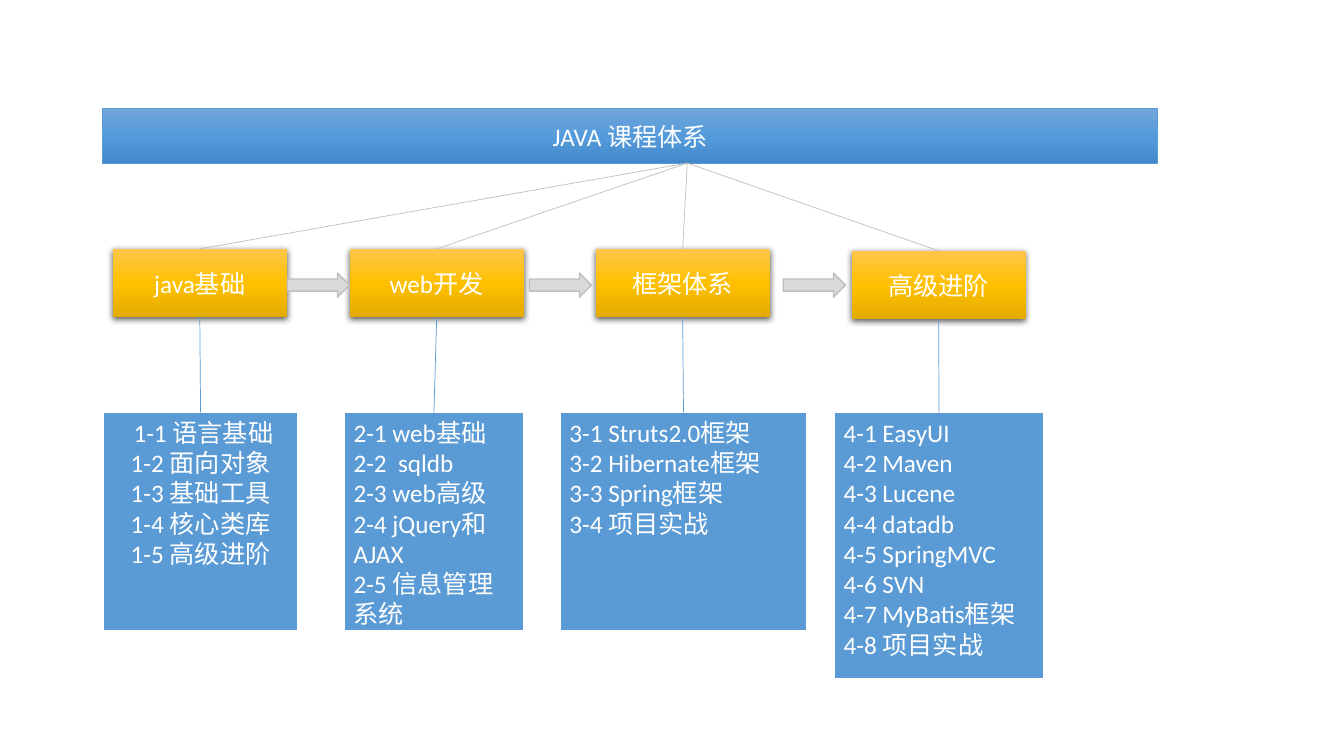
from dataclasses import dataclass

from pptx import Presentation
from pptx.dml.color import RGBColor
from pptx.enum.shapes import MSO_CONNECTOR, MSO_SHAPE
from pptx.enum.text import MSO_ANCHOR, MSO_AUTO_SIZE, PP_ALIGN
from pptx.oxml import parse_xml
from pptx.oxml.ns import nsdecls, qn
from pptx.oxml.xmlchemy import OxmlElement
from pptx.shapes.autoshape import Shape
from pptx.slide import Slide
from pptx.util import Cm, Pt

WHITE = RGBColor(0xFF, 0xFF, 0xFF)
BLUE = RGBColor(0x5B, 0x9B, 0xD5)
SILVER = RGBColor(0xBF, 0xBF, 0xBF)
LIGHT_GRAY = RGBColor(0xD9, 0xD9, 0xD9)
BLUE_SHADES = (RGBColor(0x71, 0xA6, 0xDB), RGBColor(0x55, 0x9B, 0xDB), RGBColor(0x44, 0x8A, 0xCA))
GOLD_SHADES = (RGBColor(0xFF, 0xC6, 0x4B), RGBColor(0xFF, 0xC0, 0x00), RGBColor(0xE3, 0xAB, 0x00))

STAGE_W, STAGE_H = 4.39, 1.73
LIST_TOP = 10.39
ARROW_TOP, ARROW_W, ARROW_H = 6.88, 1.57, 0.61
ARROW_LEFTS = (7.24, 13.34, 19.74)
HUB_X, HUB_Y = 17.32, 4.11


@dataclass
class Stage:
    name: str
    left: float
    top: float
    list_left: float
    list_width: float
    list_height: float
    lessons: list[str]
    align: PP_ALIGN = PP_ALIGN.LEFT


STAGES = [
    Stage("java基础", 2.84, 6.27, 2.59, 4.93, 5.51,
          [" 1-1 语言基础", "1-2 面向对象", "1-3 基础工具", "1-4 核心类库", "1-5 高级进阶"],
          PP_ALIGN.CENTER),
    Stage("web开发", 8.81, 6.27, 8.66, 4.55, 5.51,
          ["2-1 web基础", "2-2  sqldb", "2-3 web高级", "2-4 jQuery和AJAX", "2-5 信息管理系统"]),
    Stage("框架体系", 15.01, 6.27, 14.1, 6.25, 5.51,
          ["3-1 Struts2.0框架", "3-2 Hibernate框架", "3-3 Spring框架", "3-4 项目实战"]),
    Stage("高级进阶", 21.46, 6.32, 21.01, 5.31, 6.73,
          ["4-1 EasyUI", "4-2 Maven", "4-3 Lucene", "4-4 datadb", "4-5 SpringMVC", "4-6 SVN",
           "4-7 MyBatis框架", "4-8 项目实战"]),
]


def write_text(sp: Shape, text: str, *, align: PP_ALIGN = PP_ALIGN.CENTER,
               anchor: MSO_ANCHOR = MSO_ANCHOR.MIDDLE, size: float = 18,
               font: str = "Calibri", color: RGBColor = WHITE) -> None:
    tf = sp.text_frame
    tf.word_wrap = True
    tf.auto_size = MSO_AUTO_SIZE.NONE
    tf.vertical_anchor = anchor
    for i, line in enumerate(text.split("\n")):
        p = tf.paragraphs[0] if i == 0 else tf.add_paragraph()
        p.alignment = align
        r = p.add_run()
        r.text = line
        r.font.size = Pt(size)
        r.font.name = font
        r.font.color.rgb = color


def set_line(sp: Shape, color: RGBColor, width: float) -> None:
    sp.line.color.rgb = color
    sp.line.width = Pt(width)


def fill_gradient(sp: Shape, shades: tuple[RGBColor, ...]) -> None:
    sp.fill.gradient()
    stops = "".join(f'<a:gs pos="{i * 50000}"><a:srgbClr val="{c}"/></a:gs>'
                    for i, c in enumerate(shades))
    grad = parse_xml(f'<a:gradFill {nsdecls("a")} rotWithShape="1"><a:gsLst>{stops}</a:gsLst>'
                     '<a:lin ang="5400000" scaled="0"/></a:gradFill>')
    spPr = sp.element.spPr
    spPr.replace(spPr.find(qn("a:gradFill")), grad)


def add_drop_shadow(sp: Shape) -> None:
    sp.element.spPr.find(qn("a:effectLst")).append(parse_xml(
        f'<a:outerShdw {nsdecls("a")} blurRad="57150" dist="19050" dir="5400000" '
        'algn="ctr" rotWithShape="0"><a:srgbClr val="000000"><a:alpha val="63000"/>'
        '</a:srgbClr></a:outerShdw>'))


def add_block(s: Slide, kind: MSO_SHAPE, left: float, top: float,
              width: float, height: float) -> Shape:
    sp = s.shapes.add_shape(kind, Cm(left), Cm(top), Cm(width), Cm(height))
    sp.shadow.inherit = False
    return sp


def add_link(s: Slide, x1: float, y1: float, x2: float, y2: float, color: RGBColor) -> None:
    link = s.shapes.add_connector(MSO_CONNECTOR.STRAIGHT, Cm(x1), Cm(y1), Cm(x2), Cm(y2))
    set_line(link, color, 0.5)
    link.element.spPr.append(OxmlElement("a:effectLst"))


def add_banner(s: Slide) -> None:
    sp = s.shapes.title
    sp.left, sp.top, sp.width, sp.height = Cm(2.59), Cm(2.74), Cm(26.59), Cm(1.37)
    fill_gradient(sp, BLUE_SHADES)
    set_line(sp, BLUE, 0.5)
    write_text(sp, "JAVA 课程体系")


def add_stage(s: Slide, stage: Stage) -> None:
    center = stage.left + STAGE_W / 2
    list_center = stage.list_left + stage.list_width / 2

    sp = add_block(s, MSO_SHAPE.RECTANGLE, stage.left, stage.top, STAGE_W, STAGE_H)
    fill_gradient(sp, GOLD_SHADES)
    sp.line.fill.background()
    add_drop_shadow(sp)
    write_text(sp, stage.name)

    sp = add_block(s, MSO_SHAPE.RECTANGLE, stage.list_left, LIST_TOP,
                   stage.list_width, stage.list_height)
    sp.fill.solid()
    sp.fill.fore_color.rgb = BLUE
    set_line(sp, WHITE, 1.5)
    write_text(sp, "\n".join(stage.lessons), align=stage.align, anchor=MSO_ANCHOR.TOP)

    add_link(s, HUB_X, HUB_Y, center, stage.top, SILVER)
    add_link(s, center, stage.top + STAGE_H, list_center, LIST_TOP, BLUE)


def add_arrow(s: Slide, left: float) -> None:
    sp = add_block(s, MSO_SHAPE.RIGHT_ARROW, left, ARROW_TOP, ARROW_W, ARROW_H)
    sp.fill.solid()
    sp.fill.fore_color.rgb = LIGHT_GRAY
    set_line(sp, SILVER, 1)


def main() -> None:
    prs = Presentation()
    prs.slide_width, prs.slide_height = Cm(33.87), Cm(19.05)
    s = prs.slides.add_slide(prs.slide_layouts[5])
    add_banner(s)
    for stage in STAGES:
        add_stage(s, stage)
    for left in ARROW_LEFTS:
        add_arrow(s, left)
    prs.save("out.pptx")


if __name__ == "__main__":
    main()
